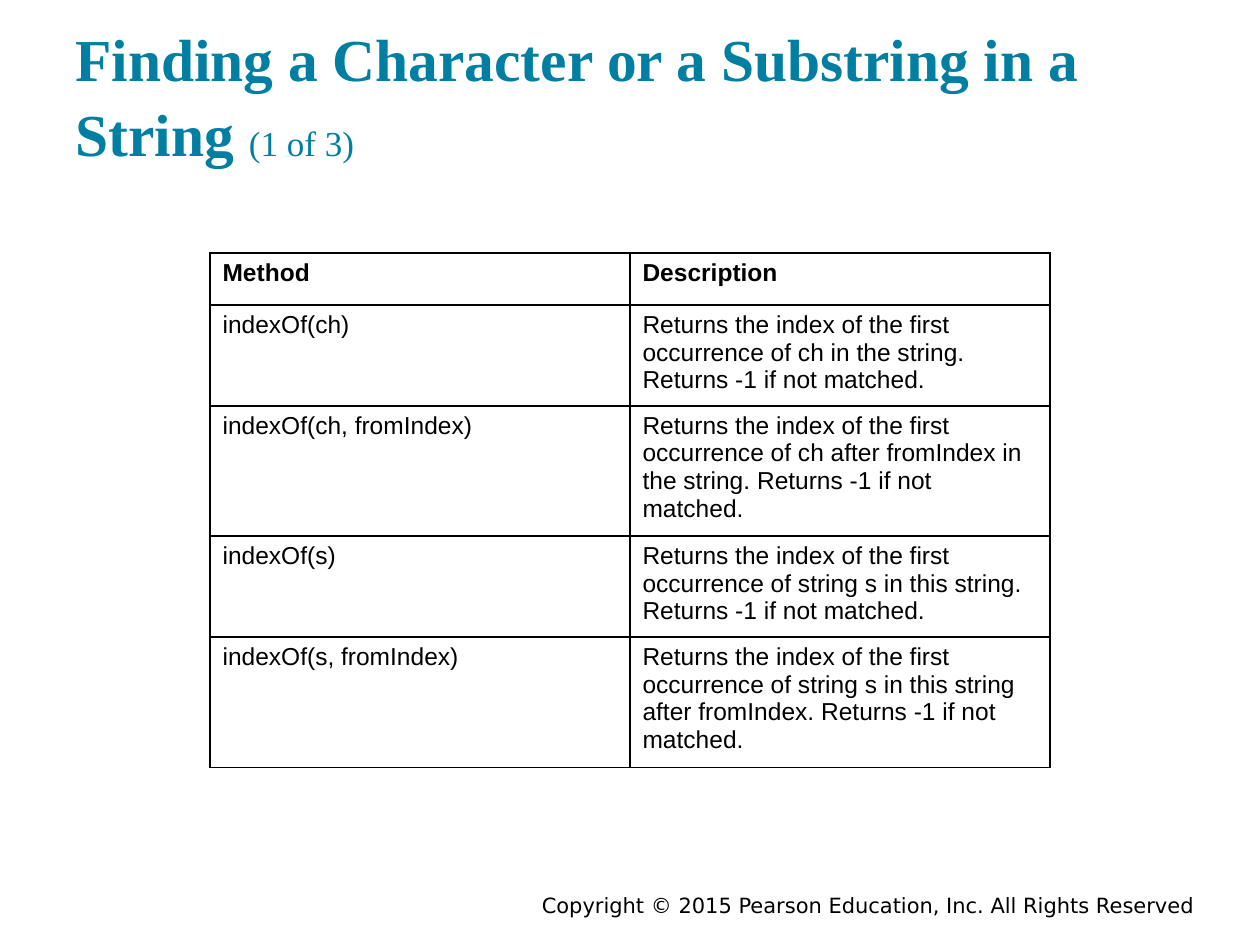
from dataclasses import dataclass

from lxml.etree import SubElement
from pptx import Presentation
from pptx.dml.color import RGBColor
from pptx.enum.text import MSO_ANCHOR, MSO_AUTO_SIZE, PP_ALIGN
from pptx.oxml.ns import qn
from pptx.util import Emu, Pt

PX_PER_INCH = 126


def px(n):
    return Emu(round(n * 914400 / PX_PER_INCH))


@dataclass(frozen=True)
class Theme:
    accent: str = "007FA3"
    ink: str = "000000"
    title_font: str = "Times New Roman"
    table_font: str = "Arial"
    footer_font: str = "DejaVu Sans"
    title_size: int = 34
    counter_size: int = 20
    table_size: int = 14
    footer_size: int = 12
    border: int = 1


class SlideBuilder:
    def __init__(self, slide, theme):
        self.s = slide
        self.theme = theme

    def style(self, font, name, size, color, bold=False):
        font.name, font.size, font.bold = name, Pt(size), bold
        font.color.rgb = RGBColor.from_string(color)

    def title(self, text, counter, x, y, w, h):
        t = self.theme
        sp = self.s.shapes.title
        sp.left, sp.top, sp.width, sp.height = map(px, (x, y, w, h))
        tf = sp.text_frame
        tf.auto_size = MSO_AUTO_SIZE.NONE
        tf.vertical_anchor = MSO_ANCHOR.BOTTOM
        tf.margin_left = tf.margin_right = Pt(7.2)
        tf.margin_top = tf.margin_bottom = Pt(7.2)
        p = tf.paragraphs[0]
        p.alignment = PP_ALIGN.LEFT
        p.line_spacing = 1.05
        for part, size, bold in ((text, t.title_size, True),
                                 (counter, t.counter_size, False)):
            r = p.add_run()
            r.text = part
            self.style(r.font, t.title_font, size, t.accent, bold)

    def borders(self, cell):
        tcPr = cell._tc.get_or_add_tcPr()
        for side in ("lnL", "lnR", "lnT", "lnB"):
            ln = SubElement(tcPr, qn(f"a:{side}"), w=str(Pt(self.theme.border)))
            fill = SubElement(ln, qn("a:solidFill"))
            SubElement(fill, qn("a:srgbClr"), val=self.theme.ink)

    def table(self, rows, heights, x, y, w):
        t = self.theme
        cols = len(rows[0])
        table = self.s.shapes.add_table(
            len(rows), cols, px(x), px(y), px(w), px(sum(heights))).table
        table.first_row = table.horz_banding = False
        for col in table.columns:
            col.width = px(w // cols)
        for i, (texts, height) in enumerate(zip(rows, heights)):
            table.rows[i].height = px(height)
            for j, text in enumerate(texts):
                cell = table.cell(i, j)
                cell.text = text
                self.borders(cell)
                cell.fill.background()
                self.style(cell.text_frame.paragraphs[0].font, t.table_font,
                           t.table_size, t.ink, bold=i == 0)

    def footer(self, text, x, y, w, h):
        t = self.theme
        tf = self.s.shapes.add_textbox(*map(px, (x, y, w, h))).text_frame
        tf.word_wrap = True
        p = tf.paragraphs[0]
        p.text = text
        p.alignment = PP_ALIGN.RIGHT
        self.style(p.font, t.footer_font, t.footer_size, t.ink)


METHODS = [
    ("Method", "Description"),
    ("indexOf(ch)",
     "Returns the index of the first occurrence of ch in the string. "
     "Returns -1 if not matched."),
    ("indexOf(ch, fromIndex)",
     "Returns the index of the first occurrence of ch after fromIndex in the "
     "string. Returns -1 if not matched."),
    ("indexOf(s)",
     "Returns the index of the first occurrence of string s in this string. "
     "Returns -1 if not matched."),
    ("indexOf(s, fromIndex)",
     "Returns the index of the first occurrence of string s in this string "
     "after fromIndex. Returns -1 if not matched."),
]


def main():
    prs = Presentation()
    prs.slide_width, prs.slide_height = px(1260), px(945)
    title_only = prs.slide_layouts[5]
    b = SlideBuilder(prs.slides.add_slide(title_only), Theme())

    # Copyright line
    b.footer("Copyright © 2015 Pearson Education, Inc. All Rights Reserved",
             220, 886, 987, 28)

    # Title with its page counter
    b.title("Finding a Character or a Substring in a String ", "(1 of 3)",
            63, 30, 1134, 151)

    # Method table
    b.table(METHODS, [52, 95, 123, 95, 123], 210, 253, 840)

    prs.save("out.pptx")


if __name__ == "__main__":
    main()
